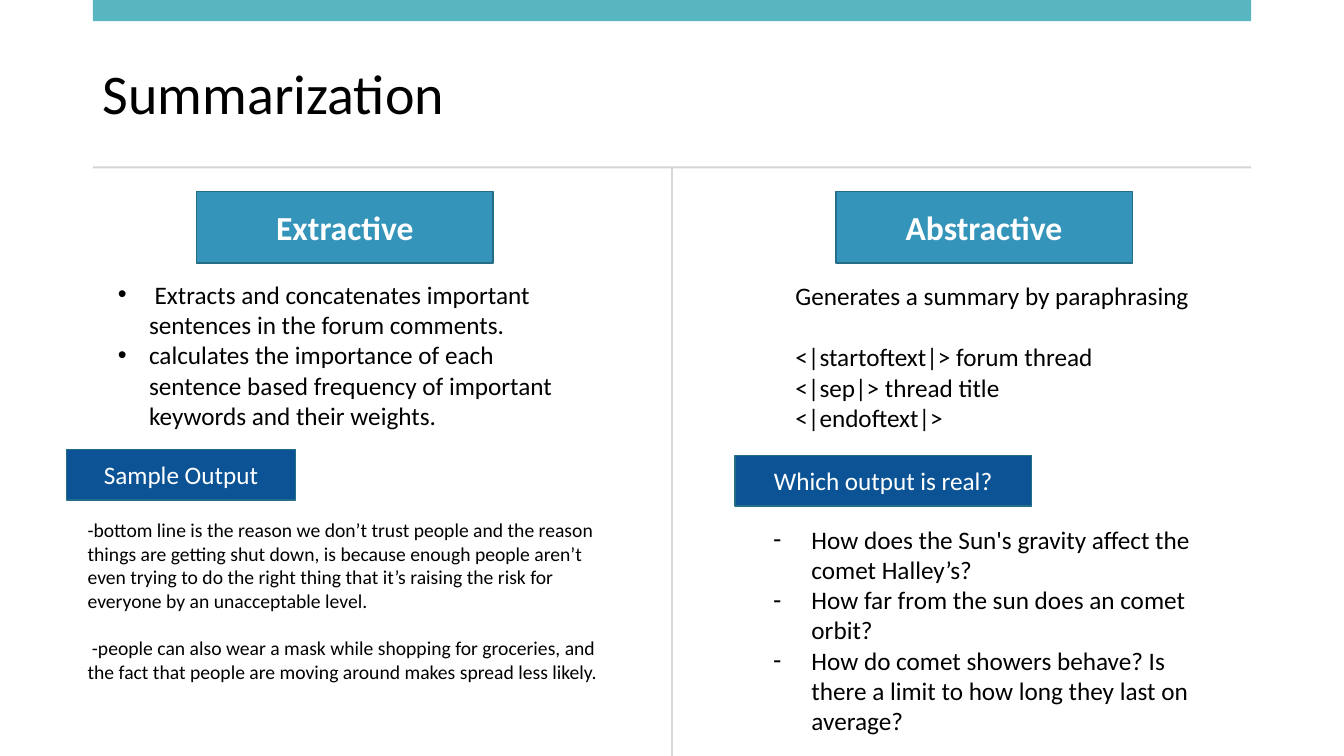
from lxml.etree import SubElement
from pptx import Presentation
from pptx.dml.color import RGBColor
from pptx.enum.shapes import MSO_CONNECTOR, MSO_SHAPE
from pptx.enum.text import MSO_ANCHOR, PP_ALIGN
from pptx.oxml.ns import qn
from pptx.util import Inches, Pt

FONT = "Calibri"
BLACK = RGBColor(0x00, 0x00, 0x00)
WHITE = RGBColor(0xFF, 0xFF, 0xFF)
TEAL = RGBColor(0x58, 0xB6, 0xC0)
RULE_GREY = RGBColor(0xD5, 0xD5, 0xD5)
DIVIDER_GREY = RGBColor(0xD8, 0xD8, 0xD8)
BLUE = RGBColor(0x34, 0x94, 0xBA)
NAVY = RGBColor(0x0B, 0x53, 0x94)
EDGE_BLUE = RGBColor(0x25, 0x6C, 0x87)

TITLE = "Summarization"
MARGIN, CONTENT_WIDTH = 0.92, 11.49

# text, (left, top, width, height), fill, size, bold
LABELS = [
    ("Extractive", (1.95, 1.9, 2.94, 0.71), BLUE, 24, True),
    ("Abstractive", (8.29, 1.9, 2.94, 0.71), BLUE, 24, True),
    ("Sample Output", (0.66, 4.46, 2.27, 0.5), NAVY, 18, False),
    ("Which output is real?", (7.29, 4.52, 2.94, 0.5), NAVY, 18, False),
]

EXTRACTIVE_POINTS = [
    " Extracts and concatenates important sentences in the forum comments.",
    "calculates the importance of each sentence based frequency of important "
    "keywords and their weights.",
]
ABSTRACTIVE_LINES = [
    "Generates a summary by paraphrasing",
    "<|startoftext|> forum thread",
    "<|sep|> thread title",
    "<|endoftext|>",
]
SAMPLE_OUTPUT = [
    "-bottom line is the reason we don’t trust people and the reason things are "
    "getting shut down, is because enough people aren’t even trying to do the "
    "right thing that it’s raising the risk for everyone by an unacceptable level.",
    " -people can also wear a mask while shopping for groceries, and the fact "
    "that people are moving around makes spread less likely.",
]
QUESTIONS = [
    "How does the Sun's gravity affect the comet Halley’s?",
    "How far from the sun does an comet orbit?",
    "How do comet showers behave? Is there a limit to how long they last on average?",
]


def inches(*lengths):
    return [Inches(length) for length in lengths]


def style(para, size, color=BLACK, bold=False):
    para.font.name = FONT
    para.font.size = Pt(size)
    para.font.color.rgb = color
    para.font.bold = bold


def set_bullet(para, mark, margin, hanging):
    properties = para._p.get_or_add_pPr()
    properties.set("marL", str(Inches(margin)))
    properties.set("indent", str(-Inches(hanging)))
    SubElement(properties, qn("a:buFont"), typeface="Arial")
    SubElement(properties, qn("a:buChar"), char=mark)


def add_rectangle(page, place, fill):
    box = page.shapes.add_shape(MSO_SHAPE.RECTANGLE, *inches(*place))
    box.shadow.inherit = False
    box.fill.solid()
    box.fill.fore_color.rgb = fill
    box.line.fill.background()
    return box


def add_label(page, text, place, fill, size, bold):
    box = add_rectangle(page, place, fill)
    box.line.color.rgb = EDGE_BLUE
    box.line.width = Pt(1)
    box.text_frame.vertical_anchor = MSO_ANCHOR.MIDDLE
    para = box.text_frame.paragraphs[0]
    para.text = text
    para.alignment = PP_ALIGN.CENTER
    style(para, size, WHITE, bold)


def add_text(page, place, lines, size=18, bullet=None):
    """Add a text box; bullet is (mark, margin, hanging). Return its paragraphs."""
    frame = page.shapes.add_textbox(*inches(*place)).text_frame
    frame.word_wrap = True
    frame.text = "\n".join(lines)
    for para in frame.paragraphs:
        style(para, size)
        if bullet:
            set_bullet(para, *bullet)
    return frame.paragraphs


def main():
    deck = Presentation()
    deck.slide_width, deck.slide_height = inches(13.33, 7.5)
    page = deck.slides.add_slide(deck.slide_layouts[5])

    title = page.shapes.title
    title.left, title.top, title.width, title.height = inches(
        MARGIN, 0.37, CONTENT_WIDTH, 1.18)
    title.text_frame.text = TITLE
    title.text_frame.vertical_anchor = MSO_ANCHOR.MIDDLE
    heading = title.text_frame.paragraphs[0]
    heading.alignment = PP_ALIGN.LEFT
    heading.line_spacing = 0.9
    style(heading, 40)

    add_rectangle(page, (MARGIN, 0, CONTENT_WIDTH, 0.21), TEAL)
    rule = add_rectangle(page, (MARGIN, 1.65, CONTENT_WIDTH, 0.02), RULE_GREY)

    center = MARGIN + CONTENT_WIDTH / 2
    divider = page.shapes.add_connector(
        MSO_CONNECTOR.STRAIGHT, *inches(center, 1.67, center, 7.5))
    divider.begin_connect(rule, 2)
    divider.line.color.rgb = DIVIDER_GREY
    divider.line.width = Pt(0.75)
    SubElement(divider._element.spPr, qn("a:effectLst"))

    add_text(page, (1.07, 2.72, 4.64, 1.62), EXTRACTIVE_POINTS,
             bullet=("•", 0.31, 0.31))
    abstractive = add_text(page, (7.79, 2.69, 4.28, 1.62), ABSTRACTIVE_LINES)
    abstractive[0].line_spacing = 1.15
    abstractive[1].space_before = Pt(22)
    sample = add_text(page, (0.77, 5.09, 5.28, 1.76), SAMPLE_OUTPUT, size=14)
    sample[1].space_before = Pt(17)
    add_text(page, (7.45, 5.15, 4.79, 2.24), QUESTIONS, bullet=("-", 0.5, 0.38))

    for label in LABELS:
        add_label(page, *label)

    deck.save("out.pptx")


if __name__ == "__main__":
    main()
